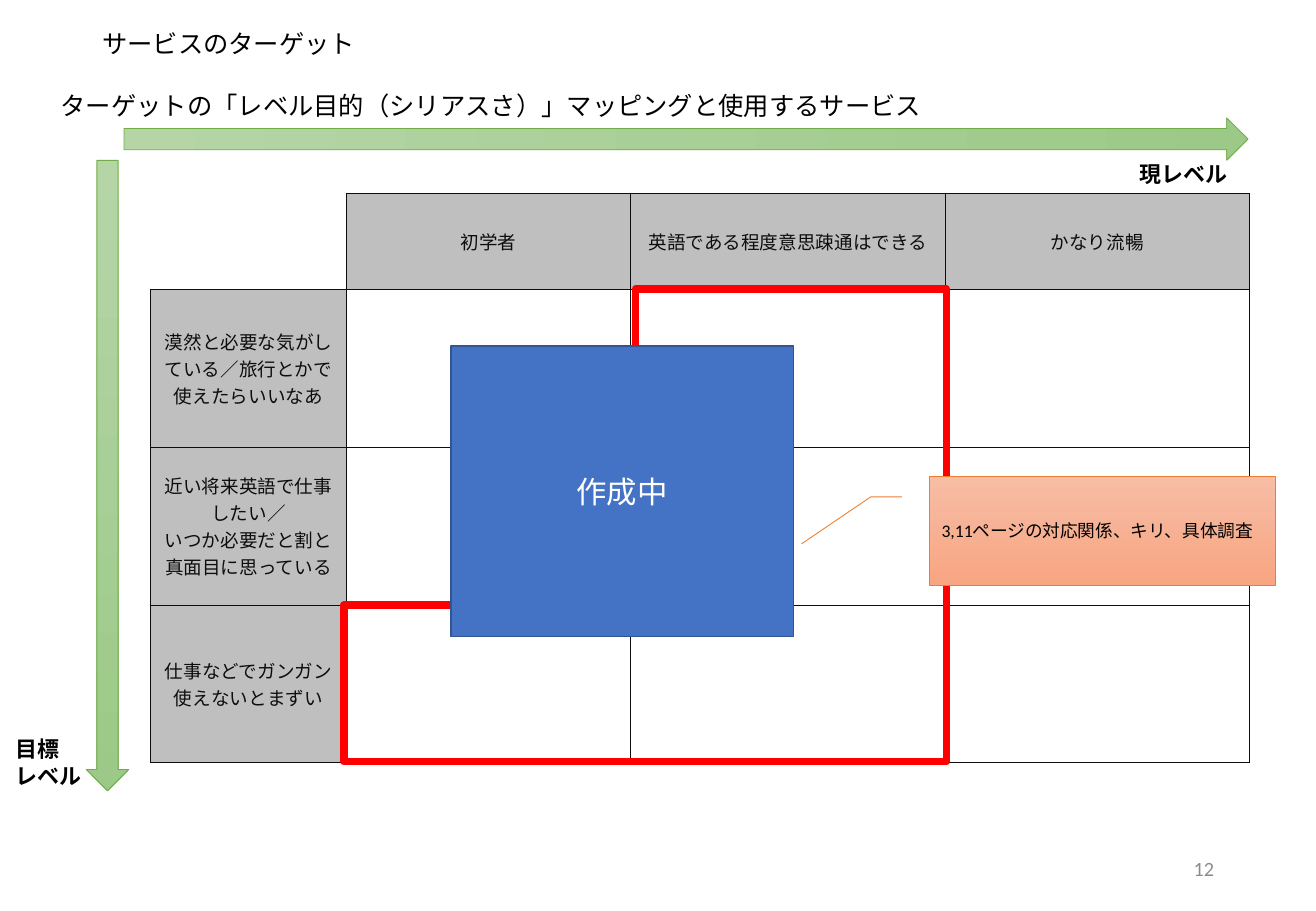
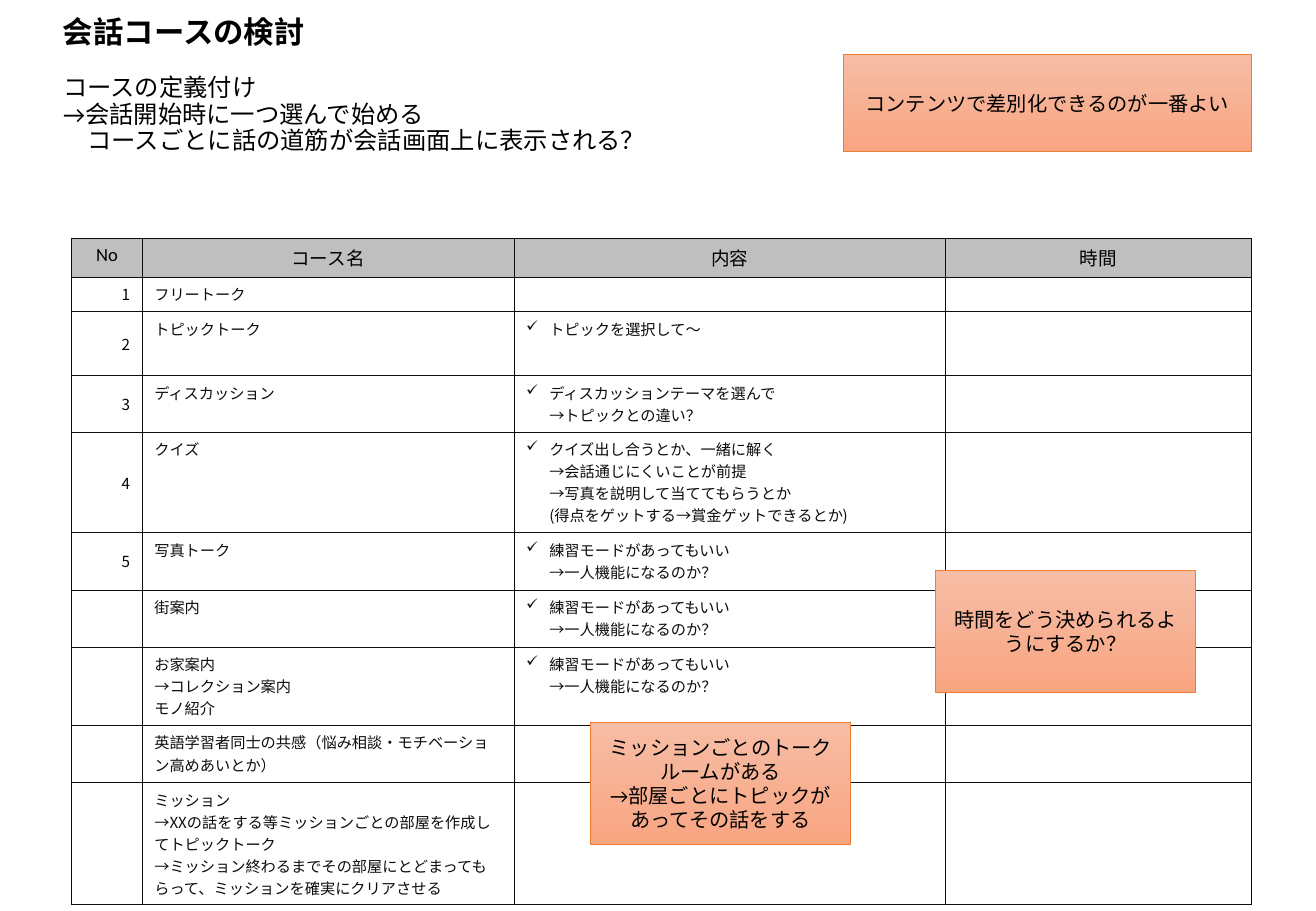
from copy import deepcopy

from lxml.etree import SubElement
from pptx import Presentation
from pptx.dml.color import RGBColor
from pptx.enum.shapes import MSO_SHAPE
from pptx.enum.text import MSO_ANCHOR, MSO_AUTO_SIZE, PP_ALIGN
from pptx.oxml.ns import qn
from pptx.util import Inches, Pt

COLORS = {
    "black": "000000", "ink": "0D0D0D", "white": "FFFFFF", "page": "8C8C8C",
    "head": "BFBFBF", "red": "FF0000", "blue": "4472C4", "blue_line": "325491",
    "green_light": "B5D5A7", "green_dark": "9CC987", "green_line": "70AD47",
    "note_light": "F7BDA5", "note_dark": "F8A582", "note_line": "ED7D31",
}
CALIBRI, NOTO = "Calibri", "Noto Sans CJK JP"
GREEN = ("green_light", "green_dark")
NOTE = ("note_light", "note_dark")
LEFT, CENTER, RIGHT = PP_ALIGN.LEFT, PP_ALIGN.CENTER, PP_ALIGN.RIGHT
TOP, MIDDLE = MSO_ANCHOR.TOP, MSO_ANCHOR.MIDDLE
BORDER = 0.5

# "\n" starts a paragraph, "\v" breaks a line inside one
LEVELS = ["初学者", "英語である程度意思疎通はできる", "かなり流暢"]
GOALS = [
    "漠然と必要な気がしている／旅行とかで使えたらいいなあ",
    "近い将来英語で仕事したい／\nいつか必要だと割と真面目に思っている",
    "仕事などでガンガン\n使えないとまずい",
]
LEVEL_COLS = [1.61, 2.34, 2.59, 2.5]
LEVEL_ROWS = [0.79, 1.3, 1.3, 1.3]
TARGET_AREA = [(5.23, 2.38), (7.79, 2.38), (7.79, 6.27),
               (2.83, 6.27), (2.83, 4.98), (5.23, 4.98)]

PRACTICE = "練習モードがあってもいい\v→一人機能になるのか？"
COURSE_HEAD = ["No", "コース名", "内容", "時間"]
COURSES = [  # number, course, content, row height
    ("1", "フリートーク", "", 0.28),
    ("2", "トピックトーク", "トピックを選択して～", 0.53),
    ("3", "ディスカッション", "ディスカッションテーマを選んで\v→トピックとの違い？", 0.46),
    ("4", "クイズ", "クイズ出し合うとか、一緒に解く\v→会話通じにくいことが前提\v"
     "→写真を説明して当ててもらうとか\v(得点をゲットする→賞金ゲットできるとか)", 0.83),
    ("5", "写真トーク", PRACTICE, 0.47),
    ("", "街案内", PRACTICE, 0.47),
    ("", "お家案内\v→コレクション案内\nモノ紹介", PRACTICE, 0.64),
    ("", "英語学習者同士の共感（悩み相談・モチベーション高めあいとか）", "", 0.47),
    ("", "ミッション\n→XXの話をする等ミッションごとの部屋を作成してトピックトーク\v"
     "→ミッション終わるまでその部屋にとどまってもらって、ミッションを確実にクリアさせる", "", 1.0),
]
COURSE_COLS = [0.58, 3.06, 3.55, 2.52]
NOTES = [
    ((7.7, 4.7, 2.14, 1), "時間をどう決められるようにするか？"),
    ((4.86, 5.95, 2.14, 1),
     "ミッションごとのトークルームがある\n→部屋ごとにトピックがあってその話をする"),
    ((6.94, 0.45, 3.36, 0.8), "コンテンツで差別化できるのが一番よい"),
]


def rgb(name):
    return RGBColor.from_string(COLORS[name])


def inches(values):
    return [Inches(v) for v in values]


def write(tf, text, size, latin=CALIBRI, asian=CALIBRI, color="black", bold=False,
          align=LEFT, spacing=None):
    for i, para in enumerate(text.split("\n")):
        p = tf.paragraphs[0] if i == 0 else tf.add_paragraph()
        p.alignment = align
        if spacing:
            p.line_spacing = spacing
        if not para:
            p._p.get_or_add_endParaRPr().set("sz", str(int(size * 100)))
            continue
        p.text = para
        for r in p.runs:
            for key, value in {"size": Pt(size), "name": latin, "bold": bold}.items():
                setattr(r.font, key, value)
            r.font.color.rgb = rgb(color)
            SubElement(r._r.rPr, qn("a:ea")).set("typeface", asian)
        for br in p._p.findall(qn("a:br")):
            br.insert(0, deepcopy(p.runs[0]._r.rPr))


def set_frame(tf, anchor):
    for key, value in {"word_wrap": True, "auto_size": MSO_AUTO_SIZE.NONE,
                       "vertical_anchor": anchor}.items():
        setattr(tf, key, value)


def add_title(slide, box, text, size, **style):
    sp = slide.shapes.title
    sp.left, sp.top, sp.width, sp.height = inches(box)
    set_frame(sp.text_frame, MIDDLE)
    write(sp.text_frame, text, size, spacing=0.9, **style)


def add_text(slide, box, text, size, anchor=MIDDLE, **style):
    tf = slide.shapes.add_textbox(*inches(box)).text_frame
    set_frame(tf, anchor)
    write(tf, text, size, **style)


def add_box(slide, kind, box, fill, line, width=BORDER, angle=270):
    """Add a preset shape; a pair of colours as fill makes a gradient."""
    sp = slide.shapes.add_shape(kind, *inches(box))
    sp.shadow.inherit = False
    if isinstance(fill, tuple):
        sp.fill.gradient()
        sp.fill.gradient_angle = angle
        for stop, name in zip(sp.fill.gradient_stops, fill):
            stop.color.rgb = rgb(name)
    else:
        sp.fill.solid()
        sp.fill.fore_color.rgb = rgb(fill)
    sp.line.color.rgb = rgb(line)
    sp.line.width = Pt(width)
    set_frame(sp.text_frame, MIDDLE)
    return sp


def add_grid(slide, left, top, cols, rows):
    shape = slide.shapes.add_table(len(rows), len(cols),
                                   *inches((left, top, sum(cols), sum(rows))))
    table = shape.table
    table.first_row = table.horz_banding = False
    for col, width in zip(table.columns, cols):
        col.width = Inches(width)
    for row, height in zip(table.rows, rows):
        row.height = Inches(height)
    return table


def fill_cell(cell, text, size, sides="LRTB", fill=None, anchor=TOP, **style):
    tc_pr = cell._tc.get_or_add_tcPr()
    for side in sides:
        ln = SubElement(tc_pr, qn("a:ln" + side), w=str(Pt(BORDER)))
        SubElement(SubElement(ln, qn("a:solidFill")), qn("a:srgbClr"), val=COLORS["ink"])
    if fill:
        cell.fill.solid()
        cell.fill.fore_color.rgb = rgb(fill)
    else:
        cell.fill.background()
    cell.vertical_anchor = anchor
    write(cell.text_frame, text, size, asian=NOTO, **style)


def add_check(p):
    p_pr = p._p.get_or_add_pPr()
    p_pr.set("marL", str(Inches(0.19)))
    p_pr.set("indent", str(-Inches(0.19)))
    SubElement(p_pr, qn("a:buChar"), char="✓")


def build_target(slide):
    add_title(slide, (0.74, 0.04, 9.34, 0.66), "サービスのターゲット", 15)
    add_text(slide, (7.65, 6.95, 2.44, 0.4), "12", 12, color="page", align=RIGHT)
    add_text(slide, (0.4, 0.57, 9.34, 0.63),
             "ターゲットの「レベル✕目的（シリアスさ）」マッピングと使用するサービス", 15, spacing=0.9)

    table = add_grid(slide, 1.24, 1.59, LEVEL_COLS, LEVEL_ROWS)
    grid = [["", *LEVELS]] + [[goal, "", "", ""] for goal in GOALS]
    for i, row in enumerate(grid):
        for j, text in enumerate(row):
            fill_cell(table.cell(i, j), text, 11, sides="LRTB" if i or j else "RB",
                      fill="head" if text else None, anchor=MIDDLE,
                      latin=NOTO, color="ink", align=CENTER)

    add_box(slide, MSO_SHAPE.DOWN_ARROW, (0.71, 1.32, 0.35, 5.19), GREEN, "green_line")
    add_box(slide, MSO_SHAPE.RIGHT_ARROW, (1.02, 0.97, 9.25, 0.35), GREEN, "green_line",
            angle=0)
    add_text(slide, (9.28, 1.27, 1, 0.32), "現レベル", 13, anchor=TOP, bold=True)
    add_text(slide, (0.03, 6.01, 0.87, 0.54), "目標\nレベル", 13, anchor=TOP, bold=True)

    points = [inches(pt) for pt in TARGET_AREA]
    builder = slide.shapes.build_freeform(*points[0])
    builder.add_line_segments(points[1:], close=True)
    area = builder.convert_to_shape()
    area.shadow.inherit = False
    area.fill.background()
    area.line.color.rgb = rgb("red")
    area.line.width = Pt(4.5)

    draft = add_box(slide, MSO_SHAPE.RECTANGLE, (3.71, 2.85, 2.82, 2.39),
                    "blue", "blue_line", width=1)
    write(draft.text_frame, "作成中", 18, color="white", align=CENTER)
    callout = add_box(slide, MSO_SHAPE.LINE_CALLOUT_2, (7.65, 3.92, 2.85, 0.9),
                      NOTE, "note_line")
    for i, value in enumerate((0.19, -0.08, 0.19, -0.17, 0.62, -0.37)):
        callout.adjustments[i] = value
    write(callout.text_frame, "3,11ページの対応関係、キリ、具体調査", 10.5)


def build_courses(slide):
    add_title(slide, (0.42, 0.55, 9.34, 0.8),
              "コースの定義付け\v→会話開始時に一つ選んで始める\v"
              "　コースごとに話の道筋が会話画面上に表示される？", 14.4, latin=NOTO)
    add_text(slide, (0.42, 0, 9.34, 0.56), "会話コースの検討", 18, latin=NOTO,
             bold=True, spacing=0.9)

    rows = [0.32] + [course[-1] for course in COURSES]
    table = add_grid(slide, 0.59, 1.96, COURSE_COLS, rows)
    for j, text in enumerate(COURSE_HEAD):
        fill_cell(table.cell(0, j), text, 11, fill="head", align=CENTER)
    for i, (number, name, content, _) in enumerate(COURSES, 1):
        fill_cell(table.cell(i, 0), number, 9, anchor=MIDDLE, latin=NOTO, align=RIGHT)
        for j, text in enumerate((name, content, ""), 1):
            fill_cell(table.cell(i, j), text, 9, latin=NOTO, color="ink")
        if content:
            add_check(table.cell(i, 2).text_frame.paragraphs[0])

    for box, text in NOTES:
        note = add_box(slide, MSO_SHAPE.RECTANGLE, box, NOTE, "note_line")
        write(note.text_frame, text, 12, align=CENTER)


def main():
    prs = Presentation()
    prs.slide_width, prs.slide_height = inches((10.83, 7.5))
    for build in (build_target, build_courses):
        build(prs.slides.add_slide(prs.slide_layouts[5]))
    prs.save("out.pptx")


if __name__ == "__main__":
    main()
